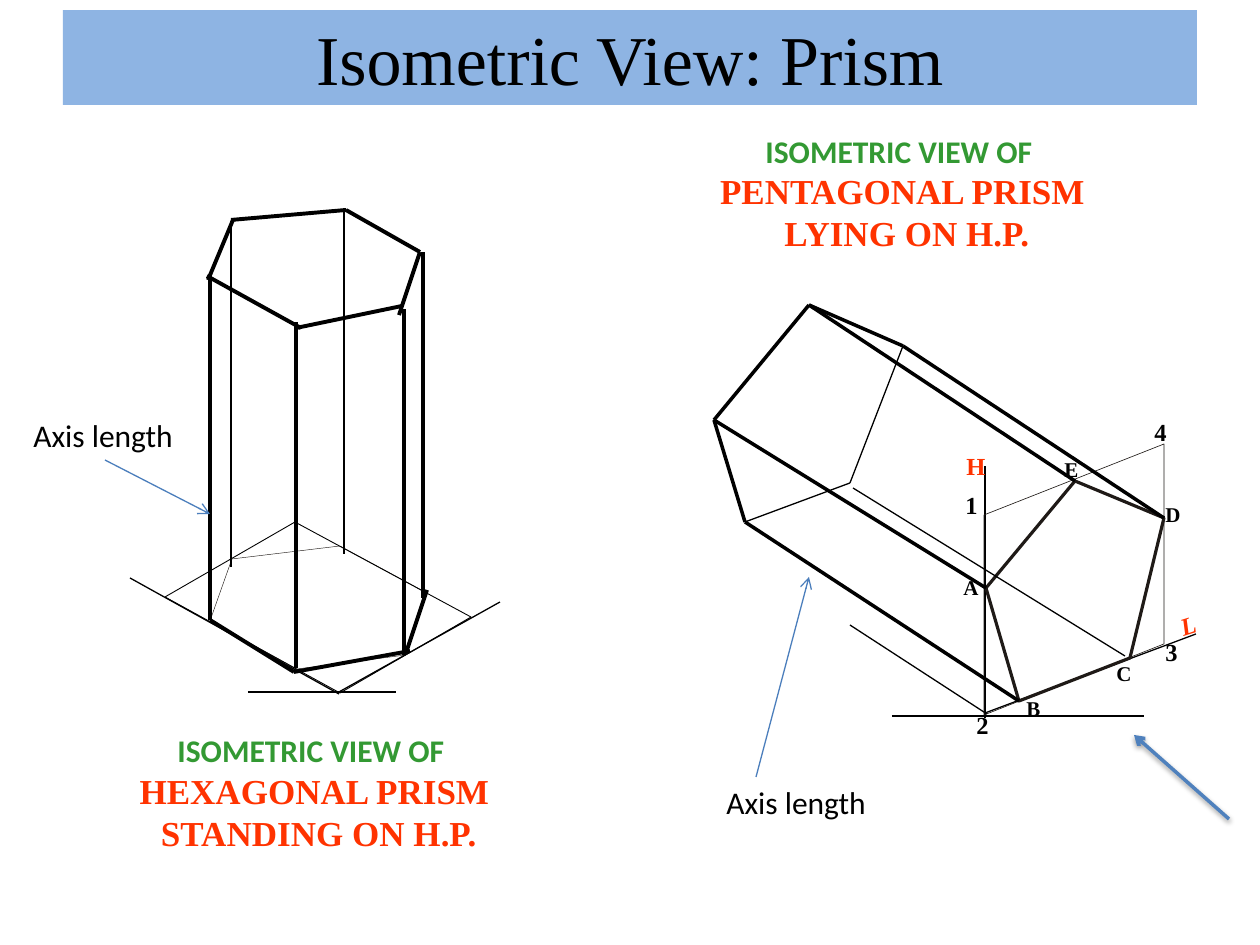
import pptx
import pptx.dml.color
import pptx.enum.shapes
import pptx.enum.text
import pptx.oxml
import pptx.oxml.ns
import pptx.util

RGB = pptx.dml.color.RGBColor
ALIGN = pptx.enum.text.PP_ALIGN
ANCHOR = pptx.enum.text.MSO_ANCHOR

PX = 914400 / 126  # EMU in one px
BLACK = RGB(0x00, 0x00, 0x00)
INK = RGB(0x1F, 0x1A, 0x17)
BANNER = RGB(0x8E, 0xB4, 0xE3)
GREEN = RGB(0x33, 0x99, 0x33)
RED = RGB(0xFF, 0x33, 0x00)
POINTER = RGB(0x4B, 0x7E, 0xBC)
VIEW_BLUE = RGB(0x4F, 0x81, 0xBD)
SERIF, SANS = "Times New Roman", "Calibri"

SHADOW = ('<a:outerShdw blurRad="39370" dist="20320" dir="5400000" rotWithShape="0">'
          '<a:srgbClr val="000000"><a:alpha val="38000"/></a:srgbClr></a:outerShdw>')


def emu(*lengths):
    return [round(length * PX) for length in lengths]


def add_text(frame, text, size, font=SERIF, color=BLACK, bold=False,
             italic=False, align=ALIGN.LEFT, first=True):
    para = frame.paragraphs[0] if first else frame.add_paragraph()
    para.alignment = align
    span = para.add_run()
    span.text = text
    span.font.size = pptx.util.Pt(size)
    span.font.name = font
    span.font.color.rgb = color
    span.font.bold = bold
    span.font.italic = italic


def add_box(page, left, top, width, height):
    box = page.shapes.add_textbox(*emu(left, top, width, height))
    box.text_frame.word_wrap = False
    box.text_frame.auto_size = pptx.enum.text.MSO_AUTO_SIZE.SHAPE_TO_FIT_TEXT
    return box


def add_label(page, text, left, top, width, height, rotation=0, **style):
    box = add_box(page, left, top, width, height)
    box.rotation = rotation
    add_text(box.text_frame, text, **style)


def add_caption(page, left, top, width, height, solid, position):
    frame = add_box(page, left, top, width, height).text_frame
    add_text(frame, "ISOMETRIC VIEW OF ", 18, font=SANS, color=GREEN,
             bold=True, align=ALIGN.CENTER)
    for text in (solid, position):
        add_text(frame, text, 20, color=RED, bold=True,
                 align=ALIGN.CENTER, first=False)


def add_line(page, start, end, width=0.75, color=BLACK, arrow=False, shadow=""):
    line = page.shapes.add_connector(
        pptx.enum.shapes.MSO_CONNECTOR.STRAIGHT, *emu(*start, *end))
    line.line.width = pptx.util.Pt(width)
    line.line.color.rgb = color
    namespace = pptx.oxml.ns.nsdecls("a")
    if arrow:
        line.line._get_or_add_ln().append(
            pptx.oxml.parse_xml(f'<a:tailEnd {namespace} type="arrow"/>'))
    line._element.spPr.append(
        pptx.oxml.parse_xml(f"<a:effectLst {namespace}>{shadow}</a:effectLst>"))


def add_lines(page, segments, width):
    for start, end in segments:
        add_line(page, start, end, width)


def add_outline(page, points, width, color=INK):
    builder = page.shapes.build_freeform(*points[0], scale=PX)
    builder.add_line_segments(points[1:], close=True)
    shape = builder.convert_to_shape()
    shape.shadow.inherit = False
    shape.fill.background()
    shape.line.color.rgb = color
    shape.line.width = pptx.util.Pt(width)


def add_title(page):
    banner = page.shapes.add_shape(pptx.enum.shapes.MSO_SHAPE.RECTANGLE,
                                   *emu(63, 10, 1134, 95))
    banner.shadow.inherit = False
    banner.fill.solid()
    banner.fill.fore_color.rgb = BANNER
    banner.line.fill.background()
    banner.text_frame.vertical_anchor = ANCHOR.MIDDLE
    add_text(banner.text_frame, "Isometric View: Prism", 40, align=ALIGN.CENTER)


def add_pentagonal_prism(page):
    # Ground line, isometric axes and the edge running back
    add_lines(page, [((892, 716), (1144, 716)), ((985, 718), (985, 466)),
                     ((985, 713), (1196, 634)), ((987, 714), (850, 625))], 0.75)

    # Enclosing frame and front face
    add_outline(page, [(984, 515), (1164, 444), (1164, 644), (984, 715)], 0.38)
    a, b, c, d, e = (986, 588), (1019, 701), (1130, 658), (1164, 518), (1075, 481)
    add_outline(page, [a, b, c, d, e], 1.8)

    # Visible and hidden edges
    rear_a, rear_b, rear_c = (714, 420), (745, 522), (850, 483)
    rear_d, rear_e = (903, 346), (809, 305)
    add_lines(page, [(a, rear_a), (e, rear_e), (d, rear_d), (b, rear_b),
                     (rear_b, rear_a), (rear_a, rear_e), (rear_e, rear_d)], 2)
    add_lines(page, [((1125, 656), (853, 488)), (rear_d, rear_c),
                     (rear_c, rear_b)], 0.75)

    # Axis, frame and corner letters
    add_label(page, "H", 954, 445, 44, 42, size=14, color=RED, bold=True)
    add_label(page, "L", 1168, 604, 40, 42, rotation=342.6, size=14,
              color=RED, bold=True, italic=True)
    for text, left, top in (("1", 953, 484), ("2", 964, 704),
                            ("3", 1153, 631), ("4", 1142, 411)):
        add_label(page, text, left, top, 38, 42, size=14, bold=True)
    for text, left, top in (("A", 951, 568), ("B", 1014, 689), ("C", 1104, 654),
                            ("D", 1153, 495), ("E", 1052, 450)):
        add_label(page, text, left, top, 40, 38, size=12, bold=True)


def add_hexagonal_prism(page):
    # Base hexagon and its enclosing parallelogram
    add_outline(page, [(232, 559), (340, 546), (427, 593),
                       (406, 655), (297, 669), (210, 621)], 0.25)
    add_outline(page, [(165, 597), (295, 522), (471, 617), (340, 693)], 0.5, BLACK)

    # Isometric axes and ground line
    add_lines(page, [((339, 692), (500, 602)), ((130, 578), (339, 694)),
                     ((248, 692), (396, 692))], 0.75)

    # Upright edges, all of one length
    height = 346
    for feet, width in (([(210, 620), (296, 668), (404, 655), (423, 598)], 2.25),
                        ([(344, 554), (231, 567)], 0.75)):
        add_lines(page, [((x, y), (x, y - height)) for x, y in feet], width)

    # Top face, then the front of the base
    add_lines(page, [((207, 276), (301, 328)), ((296, 328), (402, 306)),
                     ((399, 315), (420, 252)), ((420, 252), (346, 210)),
                     ((346, 210), (231, 220)), ((233, 220), (208, 280)),
                     ((210, 620), (294, 672)), ((294, 672), (410, 651)),
                     ((406, 653), (427, 590))], 2.25)


def add_axis_note(page, left, top, start, end):
    add_label(page, "Axis length", left, top, 166, 51, size=18, font=SANS)
    add_line(page, start, end, color=POINTER, arrow=True)


def main():
    deck = pptx.Presentation()
    deck.slide_width, deck.slide_height = emu(1260, 945)
    page = deck.slides.add_slide(deck.slide_layouts[6])

    add_title(page)
    add_pentagonal_prism(page)
    add_hexagonal_prism(page)

    # Captions, axis notes and viewing direction
    add_caption(page, 706, 126, 393, 136, "PENTAGONAL PRISM", " LYING ON H.P.")
    add_caption(page, 126, 725, 377, 135, "HEXAGONAL PRISM", " STANDING ON H.P.")
    add_axis_note(page, 714, 777, (756, 777), (809, 577))
    add_axis_note(page, 21, 410, (105, 460), (210, 514))
    add_line(page, (1229, 819), (1134, 735), 2, VIEW_BLUE, arrow=True, shadow=SHADOW)

    deck.save("out.pptx")


if __name__ == "__main__":
    main()
